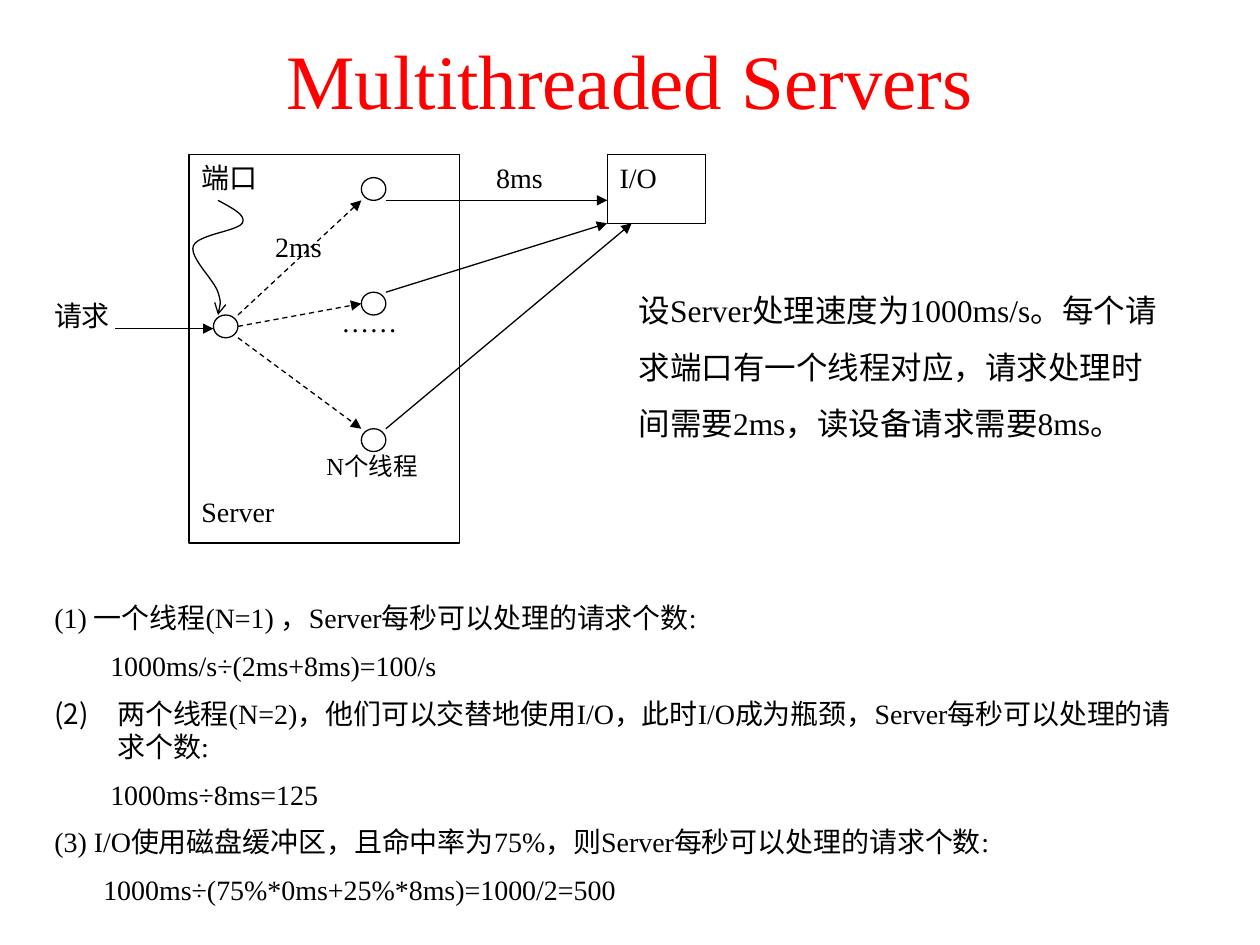
from lxml.etree import SubElement
from pptx import Presentation
from pptx.dml.color import RGBColor
from pptx.enum.dml import MSO_LINE
from pptx.enum.shapes import MSO_CONNECTOR, MSO_SHAPE
from pptx.enum.text import MSO_ANCHOR, MSO_AUTO_SIZE, PP_ALIGN
from pptx.oxml.ns import qn
from pptx.util import Pt

BLACK = RGBColor(0, 0, 0)
WHITE = RGBColor(255, 255, 255)
RED = RGBColor(255, 0, 0)


class SlideBuilder:
    """Holds the style and the current slide; all lengths are points."""

    font_name = "Times New Roman"
    line_width = Pt(0.75)

    def __init__(self, page):
        self.page = page

    def place(self, shape, left, top, width, height):
        shape.left, shape.top = Pt(left), Pt(top)
        shape.width, shape.height = Pt(width), Pt(height)

    def add_span(self, para, text, size, color=BLACK):
        span = para.add_run()
        span.text = text
        span.font.name = self.font_name
        span.font.size = Pt(size)
        span.font.color.rgb = color

    def outline(self, line):
        line.color.rgb = BLACK
        line.width = self.line_width

    def arrowhead(self, shape, kind):
        SubElement(shape.line._get_or_add_ln(), qn("a:tailEnd"), type=kind)

    def title(self, text, *place):
        box = self.page.shapes.title
        self.place(box, *place)
        box.text_frame.vertical_anchor = MSO_ANCHOR.MIDDLE
        para = box.text_frame.paragraphs[0]
        para.alignment = PP_ALIGN.CENTER
        self.add_span(para, text, 44, RED)

    def body(self, items, *place):
        """Each item is text, left margin, first-line indent and number (or None)."""
        box = self.page.placeholders[1]
        self.place(box, *place)
        frame = box.text_frame
        frame.auto_size = MSO_AUTO_SIZE.NONE
        frame.vertical_anchor = MSO_ANCHOR.MIDDLE
        for index, (text, margin, indent, number) in enumerate(items):
            para = frame.add_paragraph() if index else frame.paragraphs[0]
            para.space_before = Pt(8 if index else 0)
            props = para._p.get_or_add_pPr()
            props.set("marL", str(Pt(margin)))
            props.set("indent", str(Pt(indent)))
            if number:
                SubElement(props, qn("a:buFont"), typeface=self.font_name)
                SubElement(props, qn("a:buAutoNum"), type="arabicParenBoth", startAt=str(number))
            else:
                SubElement(props, qn("a:buNone"))
            self.add_span(para, text, 16)

    def label(self, text, left, top, width, height, size=16, spacing=None, anchor=MSO_ANCHOR.TOP):
        box = self.page.shapes.add_textbox(Pt(left), Pt(top), Pt(width), Pt(height))
        frame = box.text_frame
        frame.word_wrap = True
        frame.vertical_anchor = anchor
        para = frame.paragraphs[0]
        para.line_spacing = spacing
        self.add_span(para, text, size)

    def shape(self, kind, left, top, width, height, text=None):
        shape = self.page.shapes.add_shape(kind, Pt(left), Pt(top), Pt(width), Pt(height))
        shape.shadow.inherit = False
        shape.fill.solid()
        shape.fill.fore_color.rgb = WHITE
        self.outline(shape.line)
        if text:
            shape.text_frame.vertical_anchor = MSO_ANCHOR.TOP
            para = shape.text_frame.paragraphs[0]
            para.alignment = PP_ALIGN.LEFT
            self.add_span(para, text, 16)

    def arrow(self, start, end, dashed=False):
        line = self.page.shapes.add_connector(
            MSO_CONNECTOR.STRAIGHT, *(Pt(value) for value in (*start, *end)))
        self.outline(line.line)
        if dashed:
            line.line.dash_style = MSO_LINE.DASH
        self.arrowhead(line, "triangle")
        SubElement(line._element.spPr, qn("a:effectLst"))

    def curve(self, start, segments, steps=12):
        """Draw joined cubic curves, each given by two controls and an end."""
        points = []
        point = start
        for first, second, end in segments:
            for step in range(1, steps + 1):
                t = step / steps
                weights = ((1 - t) ** 3, 3 * t * (1 - t) ** 2, 3 * t * t * (1 - t), t ** 3)
                corners = (point, first, second, end)
                points.append(tuple(
                    Pt(sum(w * c[axis] for w, c in zip(weights, corners))) for axis in (0, 1)))
            point = end
        builder = self.page.shapes.build_freeform(Pt(start[0]), Pt(start[1]))
        builder.add_line_segments(points, close=False)
        shape = builder.convert_to_shape()
        shape.shadow.inherit = False
        shape.fill.background()
        self.outline(shape.line)
        self.arrowhead(shape, "arrow")


def main():
    deck = Presentation()
    deck.slide_width, deck.slide_height = Pt(720), Pt(540)
    slide = SlideBuilder(deck.slides.add_slide(deck.slide_layouts[1]))
    slide.title("Multithreaded Servers", 0, 0, 720, 90)

    # Problem statement
    slide.label("设Server处理速度为1000ms/s。每个请求端口有一个线程对应，"
                "请求处理时间需要2ms，读设备请求需要8ms。",
                357.8, 151.2, 317.5, 105.8, size=18, spacing=1.5, anchor=MSO_ANCHOR.MIDDLE)

    # Server, device, port and threads
    slide.shape(MSO_SHAPE.RECTANGLE, 347, 88.4, 56.2, 39.2, "I/O")
    slide.shape(MSO_SHAPE.RECTANGLE, 108, 88.4, 154.8, 222, "端口")
    circle_width, circle_height = 14, 13
    thread_left = 206.5
    thread_tops = (101.5, 167, 245)
    port_left, port_top = 122, 180
    for left, top in [(port_left, port_top)] + [(thread_left, top) for top in thread_tops]:
        slide.shape(MSO_SHAPE.OVAL, left, top, circle_width, circle_height)

    # Labels
    for text, left, top, width, size in (
            ("请求", 23.8, 167, 70, 16),
            ("8ms", 276.5, 88.4, 56, 16),
            ("2ms", 150.2, 127.6, 56, 16),
            ("……", 188, 170.6, 60, 16),
            ("N个线程", 179.5, 254, 80, 14),
            ("Server", 108, 279, 100, 16)):
        slide.label(text, left, top, width, 28, size)

    # Request and port pointer
    slide.arrow((66, 187.8), (port_left, 187.8))
    slide.curve((124.6, 114.5), (
        ((132.5, 118.8), (141, 123), (138.5, 127.5)),
        ((136, 132), (113, 134), (110.5, 140.5)),
        ((108, 147), (122.5, 160), (124.6, 167)),
        ((126.8, 173.5), (126, 176.5), (124.6, 180))))

    # Port to threads
    port_right = port_left + circle_width
    for start_y, end_y in ((180, 114.5), (186.5, 173.5), (193, 245)):
        slide.arrow((port_right, start_y), (thread_left, end_y), dashed=True)

    # Threads to device
    thread_right = thread_left + circle_width
    for start_y, end in ((114.5, (347, 114.5)), (167, (347, 127.6)), (245, (361, 127.6))):
        slide.arrow((thread_right, start_y), end)

    # Questions and answers
    slide.body((
        ("(1) 一个线程(N=1) ，Server每秒可以处理的请求个数:", 36, -36, None),
        ("1000ms/s÷(2ms+8ms)=100/s", 32, 0, None),
        ("两个线程(N=2)，他们可以交替地使用I/O，此时I/O成为瓶颈，Server每秒可以处理的请求个数:", 36, -36, 2),
        ("1000ms÷8ms=125", 32, 0, None),
        ("(3) I/O使用磁盘缓冲区，且命中率为75%，则Server每秒可以处理的请求个数:", 36, -36, None),
        ("1000ms÷(75%*0ms+25%*8ms)=1000/2=500", 28, 0, None),
    ), 23.8, 334.8, 668.2, 191.5)

    deck.save("out.pptx")


if __name__ == "__main__":
    main()
